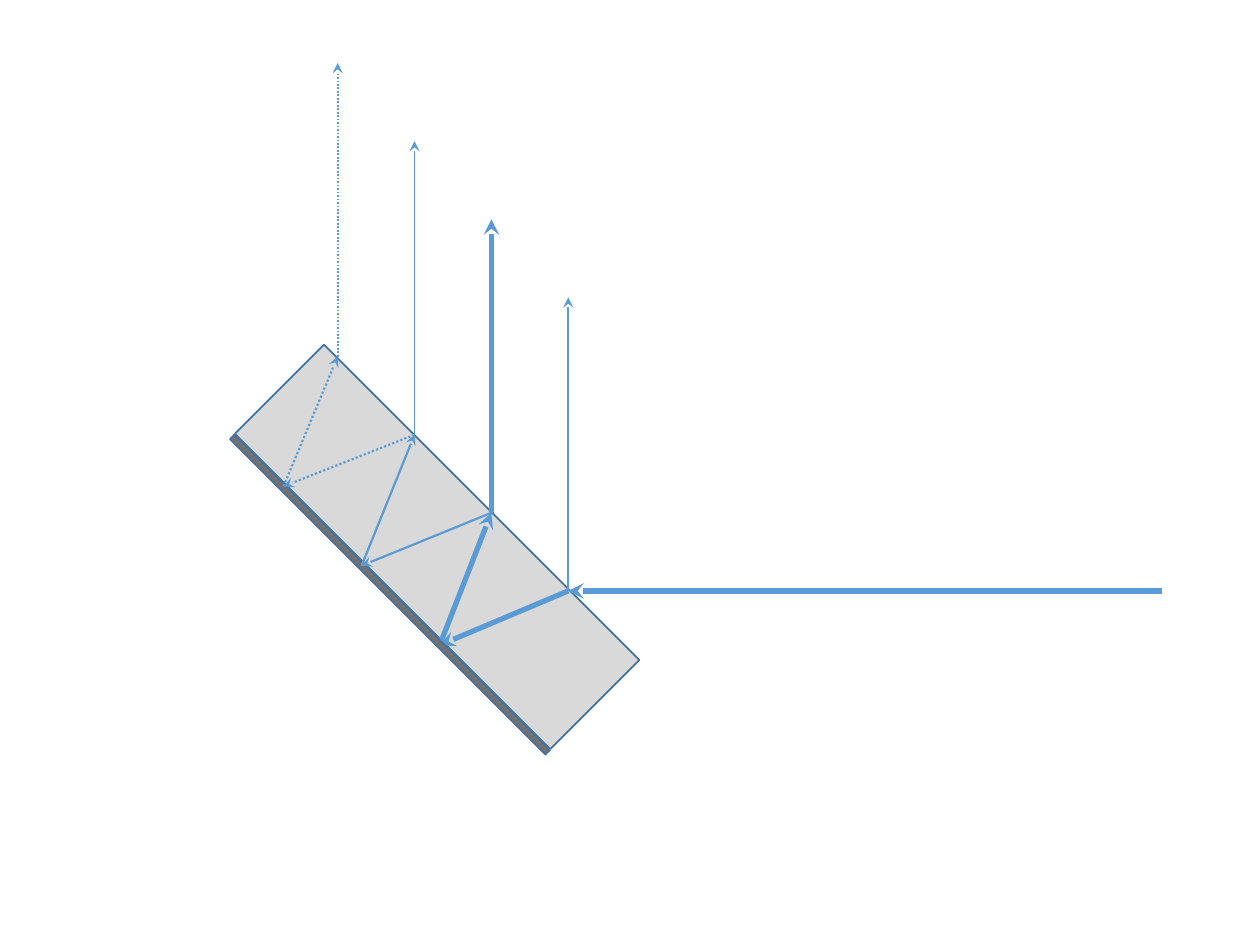
from lxml.etree import SubElement
from pptx import Presentation
from pptx.dml.color import RGBColor
from pptx.enum.dml import MSO_LINE
from pptx.enum.shapes import MSO_CONNECTOR, MSO_SHAPE
from pptx.oxml.ns import qn
from pptx.util import Inches, Pt

COLORS = {"glass": "D9D9D9", "mirror": "767171", "edge": "43739E", "ray": "5B9BD5"}

deck = Presentation()
deck.slide_width, deck.slide_height = Inches(10), Inches(7.5)
page = deck.slides.add_slide(deck.slide_layouts[6])

# Grid of 100 columns by 75 rows
column, row = deck.slide_width / 100, deck.slide_height / 75


def add_plate(left, top, width, height, fill):
    plate = page.shapes.add_shape(
        MSO_SHAPE.RECTANGLE,
        *(round(length) for length in (left * column, top * row, width * column, height * row)))
    plate.rotation = 315
    plate.shadow.inherit = False
    plate.fill.solid()
    plate.fill.fore_color.rgb = RGBColor.from_string(COLORS[fill])
    plate.line.color.rgb = RGBColor.from_string(COLORS["edge"])
    plate.line.width = Pt(1)


def add_ray(start, end, weight, dash=None):
    """Draw a light ray with a stealth arrowhead at its end."""
    ray = page.shapes.add_connector(
        MSO_CONNECTOR.STRAIGHT,
        round(start[0] * column), round(start[1] * row),
        round(end[0] * column), round(end[1] * row))
    ray.line.color.rgb = RGBColor.from_string(COLORS["ray"])
    for name, value in {"width": Pt(weight), "dash_style": dash}.items():
        setattr(ray.line, name, value)
    SubElement(ray.line._get_or_add_ln(), qn("a:tailEnd"), type="stealth")
    SubElement(ray._element.spPr, qn("a:effectLst"))


# Each reflection moves the ray one step up and left along the plate
surface = [(45.1 - 6.1 * step, 46.9 - 6.2 * step) for step in range(4)]
back = [(34.9 - 6.2 * step, 51.2 - 6.3 * step) for step in range(3)]
exit_height = 23.3

dotted = MSO_LINE.ROUND_DOT
bounces = [(3, None), (1.25, None), (1.25, dotted)]
exits = [(1, None), (3, None), (1, None), (1, dotted)]

add_plate(29.7, 25.7, 10, 35.4, "glass")
add_ray((92.2, 46.9), surface[0], 3)

for step, (weight, dash) in enumerate(bounces):
    add_ray(surface[step], back[step], weight, dash)
    add_ray(back[step], surface[step + 1], weight, dash)
    if step == 0:
        # The mirror coating covers the strong ray but not the weak ones
        add_plate(30.7, 29.5, 0.5, 35.4, "mirror")

for (x, y), (weight, dash) in zip(surface, exits):
    add_ray((x, y), (x, y - exit_height), weight, dash)

deck.save("out.pptx")
